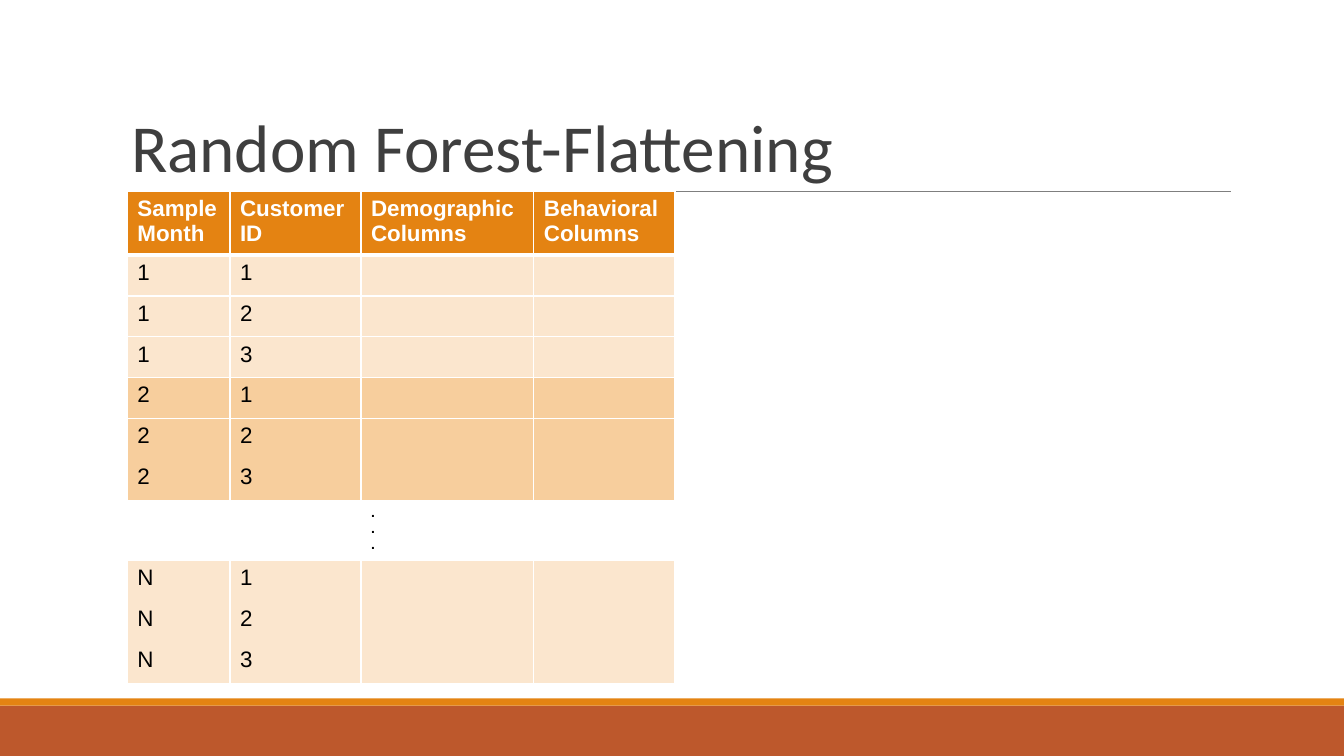
from lxml import etree
from pptx import Presentation
from pptx.dml.color import RGBColor
from pptx.enum.shapes import MSO_CONNECTOR, MSO_SHAPE
from pptx.enum.text import MSO_ANCHOR, MSO_AUTO_SIZE, PP_ALIGN
from pptx.oxml.ns import qn
from pptx.util import Pt

WHITE = RGBColor(0xFF, 0xFF, 0xFF)
BLACK = RGBColor(0x00, 0x00, 0x00)
CHARCOAL = RGBColor(0x3F, 0x3F, 0x3F)
GRAY = RGBColor(0x7F, 0x7F, 0x7F)
RUST = RGBColor(0xBD, 0x58, 0x2C)
ORANGE = RGBColor(0xE4, 0x83, 0x12)
PALE = RGBColor(0xFB, 0xE6, 0xCE)
PEACH = RGBColor(0xF7, 0xCE, 0x9D)


def set_borders(cell, left, right, top, bottom):
    """Draw white borders of the given widths in points; 0 means none."""
    props = cell._tc.get_or_add_tcPr()
    edges = {"a:lnL": left, "a:lnR": right, "a:lnT": top, "a:lnB": bottom}
    for position, (tag, width) in enumerate(edges.items()):
        line = etree.Element(qn(tag), w=str(Pt(width)))
        if width:
            fill = etree.SubElement(line, qn("a:solidFill"))
            etree.SubElement(fill, qn("a:srgbClr"), val=str(WHITE))
        else:
            etree.SubElement(line, qn("a:noFill"))
        props.insert(position, line)


deck = Presentation()
deck.slide_width, deck.slide_height = Pt(960), Pt(540)
slide = deck.slides.add_slide(deck.slide_layouts[5])

# Footer bars and title rule
for top, height, color in [(504, 36, RUST), (498.75, 5.25, ORANGE)]:
    bar = slide.shapes.add_shape(MSO_SHAPE.RECTANGLE, Pt(0), Pt(top), Pt(960), Pt(height))
    bar.shadow.inherit = False
    bar.fill.solid()
    bar.fill.fore_color.rgb = color
    bar.line.fill.background()

rule = slide.shapes.add_connector(MSO_CONNECTOR.STRAIGHT, Pt(94), Pt(136.8), Pt(879), Pt(136.8))
rule.line.color.rgb = GRAY
rule.line.width = Pt(0.75)
etree.SubElement(rule._element.spPr, qn("a:effectLst"))

# Title
title = slide.shapes.title
title.left, title.top, title.width, title.height = Pt(86.4), Pt(22.5), Pt(792), Pt(114.3)
frame = title.text_frame
frame.text = "Random Forest-Flattening"
frame.word_wrap = True
frame.auto_size = MSO_AUTO_SIZE.NONE
frame.vertical_anchor = MSO_ANCHOR.BOTTOM
para = frame.paragraphs[0]
para.alignment = PP_ALIGN.LEFT
para.line_spacing = 0.85
para.font.name = "Calibri"
para.font.size = Pt(48)
para.font.color.rgb = CHARCOAL

# Each row: texts, fill, height, width of its top border
HEADER = ["Sample Month", "Customer ID", "Demographic Columns", "Behavioral Columns"]
rows = [(HEADER, ORANGE, 45.4, 1)]
for month, fill, tops in [("1", PALE, (3, 1, 1)), ("2", PEACH, (1, 1, 0)), ("N", PALE, (0, 0, 0))]:
    if month == "N":
        rows.append((["", "", ".\n.\n.", ""], None, 43.2, 0))
    for customer, top in enumerate(tops, start=1):
        rows.append(([month, str(customer), "", ""], fill, 29.2, top))
border_widths = [row[3] for row in rows] + [1]

column_widths = [73.3, 93.6, 123.5, 100.8]
table = slide.shapes.add_table(
    len(rows), len(column_widths), Pt(91), Pt(136.8),
    Pt(sum(column_widths)), Pt(sum(row[2] for row in rows))).table
for column, width in zip(table.columns, column_widths):
    column.width = Pt(width)

for index, (texts, fill, height, top) in enumerate(rows):
    table.rows[index].height = Pt(height)
    side = 1 if fill else 0
    for cell, text in zip(table.rows[index].cells, texts):
        cell.text = text
        if fill:
            cell.fill.solid()
            cell.fill.fore_color.rgb = fill
        else:
            cell.fill.background()
        set_borders(cell, side, side, top, border_widths[index + 1])
        for para in cell.text_frame.paragraphs:
            para.font.name = "Arial"
            para.font.size = Pt(16 if fill else 10)
            para.font.bold = index == 0 or not fill
            para.font.color.rgb = WHITE if index == 0 else BLACK

deck.save("out.pptx")
